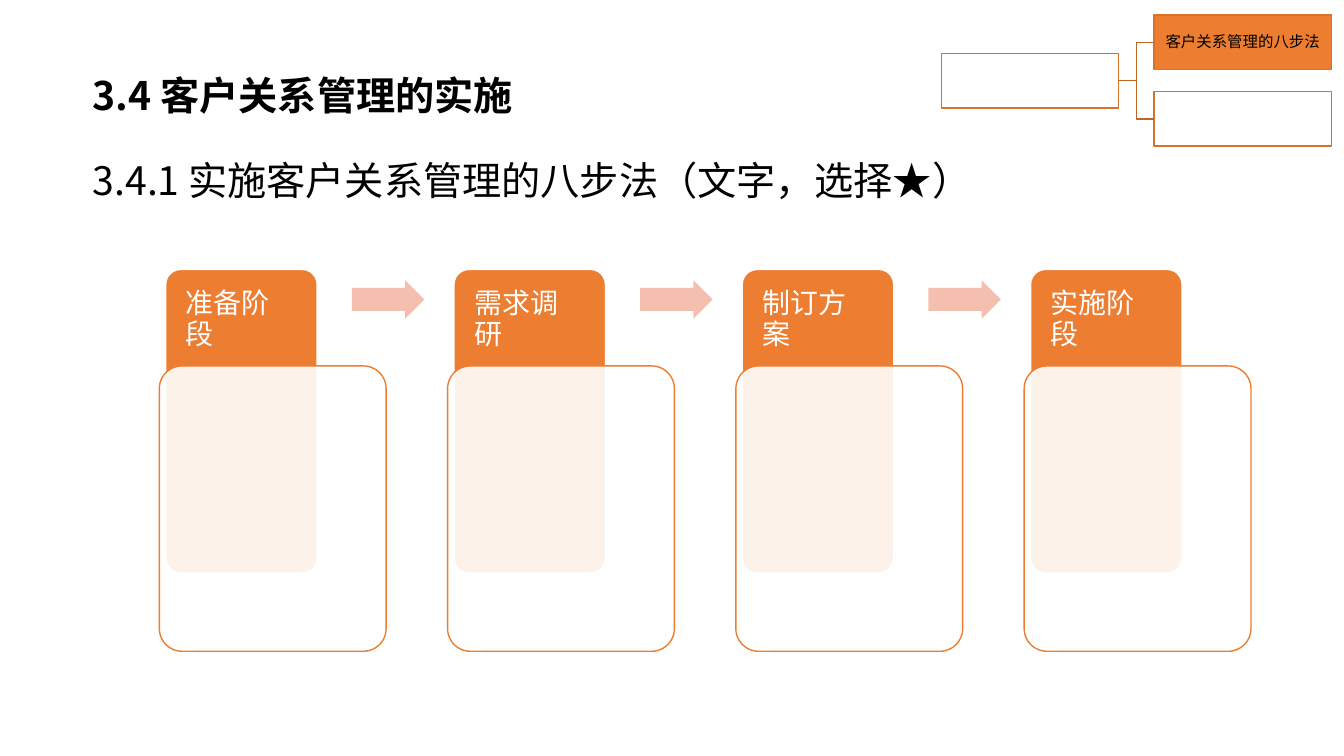
from lxml.etree import SubElement
from pptx import Presentation
from pptx.dml.color import RGBColor
from pptx.enum.shapes import MSO_CONNECTOR as Link, MSO_SHAPE as Shape
from pptx.enum.text import MSO_ANCHOR as Anchor, MSO_AUTO_SIZE as Auto, PP_ALIGN as Align
from pptx.oxml.ns import qn
from pptx.util import Pt

TITLE = "3.4 客户关系管理的实施"
HEADING = "3.4.1 实施客户关系管理的八步法（文字，选择★）"
STAGES = ["准备阶段", "需求调研", "制订方案", "实施阶段"]
TOPICS = ["客户关系管理的八步法", ""]

SANS = "Noto Sans CJK SC"
STAGE_FONT = "Noto Sans CJK JP"
BLACK = RGBColor(0x00, 0x00, 0x00)
WHITE = RGBColor(0xFF, 0xFF, 0xFF)
ORANGE = RGBColor(0xED, 0x7D, 0x31)
EDGE = RGBColor(0xD7, 0x71, 0x2C)
BRANCH = RGBColor(0xBE, 0x64, 0x27)
PINK = RGBColor(0xF4, 0xBF, 0xAE)

LEFT, STEP = 118.1, 205.92
NODE_W, NODE_H = 126.7, 38.9
ROOT_X, ROOT_Y = 672.5, 38.2
TOPIC_X, TOPIC_Y, TOPIC_STEP = 824.4, 10.8, 54.7

deck = Presentation()
deck.slide_width, deck.slide_height = Pt(960), Pt(540)
slide = deck.slides.add_slide(deck.slide_layouts[6])
shapes = slide.shapes


def write(shape, text, insets, size, font=SANS, color=BLACK, bold=False,
          frame=None, para=None):
    """Set the text with its insets (left, top, right, bottom) and formats."""
    body = shape.text_frame
    body.word_wrap = True
    sides = ("left", "top", "right", "bottom")
    edges = {f"margin_{side}": Pt(gap) for side, gap in zip(sides, insets)}
    line = body.paragraphs[0]
    run = line.add_run()
    run.text = text
    face = {"name": font, "size": Pt(size), "bold": bold}
    for target, values in ((body, edges | (frame or {})), (line, para or {}),
                           (run.font, face)):
        for key, value in values.items():
            setattr(target, key, value)
    run.font.color.rgb = color
    SubElement(run.font._element, qn("a:ea"), typeface=font)


def draw(kind, box, fill, line=None, width=1, adjust=()):
    shape = shapes.add_shape(kind, *map(Pt, box))
    shape.shadow.inherit = False
    shape.fill.solid()
    shape.fill.fore_color.rgb = fill
    if line is None:
        shape.line.fill.background()
    else:
        shape.line.color.rgb = line
        shape.line.width = Pt(width)
    for i, value in enumerate(adjust):
        shape.adjustments[i] = value
    return shape


def fade(shape, percent):
    """Make a solid fill partly opaque."""
    tone = shape._element.spPr.find(qn("a:solidFill"))[0]
    SubElement(tone, qn("a:alpha"), val=str(percent * 1000))


def branch(start, end):
    link = shapes.add_connector(Link.ELBOW, 0, 0, 0, 0)
    link.begin_connect(start, 3)
    link.end_connect(end, 1)
    link.line.color.rgb = BRANCH
    link.line.width = Pt(1)
    SubElement(link._element.spPr, qn("a:effectLst"))


PAD = (8.64, 4.32, 8.64, 4.32)
title = shapes.add_textbox(Pt(57.6), Pt(46.8), Pt(824.4), Pt(42.5))
write(title, TITLE, PAD, 28, bold=True,
      frame={"auto_size": Auto.SHAPE_TO_FIT_TEXT})

for i, stage in enumerate(STAGES):
    x = LEFT + i * STEP
    card = draw(Shape.ROUNDED_RECTANGLE, (x, 192.2, 108.7, 217.4),
                ORANGE, WHITE, 1.5, [0.1])
    write(card, stage, (11.52, 11.52, 11.52, 5.76), 20, STAGE_FONT, WHITE,
          frame={"vertical_anchor": Anchor.TOP},
          para={"alignment": Align.LEFT, "line_spacing": 0.9})
    panel = draw(Shape.ROUNDED_RECTANGLE, (x - 4.3, 261.4, 162, 203.8),
                 WHITE, ORANGE, 1, [0.1])
    fade(panel, 90)
    if i < len(STAGES) - 1:
        draw(Shape.RIGHT_ARROW, (x + 133.2, 200.2, 51.8, 27.4), PINK,
             adjust=[0.6, 0.5])

root = draw(Shape.RECTANGLE, (ROOT_X, ROOT_Y, NODE_W, NODE_H), WHITE, EDGE)
for i, topic in enumerate(TOPICS):
    node = draw(Shape.RECTANGLE,
                (TOPIC_X, TOPIC_Y + i * TOPIC_STEP, NODE_W, NODE_H),
                ORANGE if topic else WHITE, EDGE)
    if topic:
        write(node, topic, (0.72,) * 4, 11,
              frame={"vertical_anchor": Anchor.MIDDLE},
              para={"alignment": Align.CENTER, "line_spacing": 0.9})
    branch(root, node)

heading = shapes.add_textbox(Pt(57.6), Pt(82.8), Pt(875.5), Pt(74.9))
write(heading, HEADING, PAD, 28, frame={"vertical_anchor": Anchor.MIDDLE},
      para={"line_spacing": 1.5})

deck.save("out.pptx")
